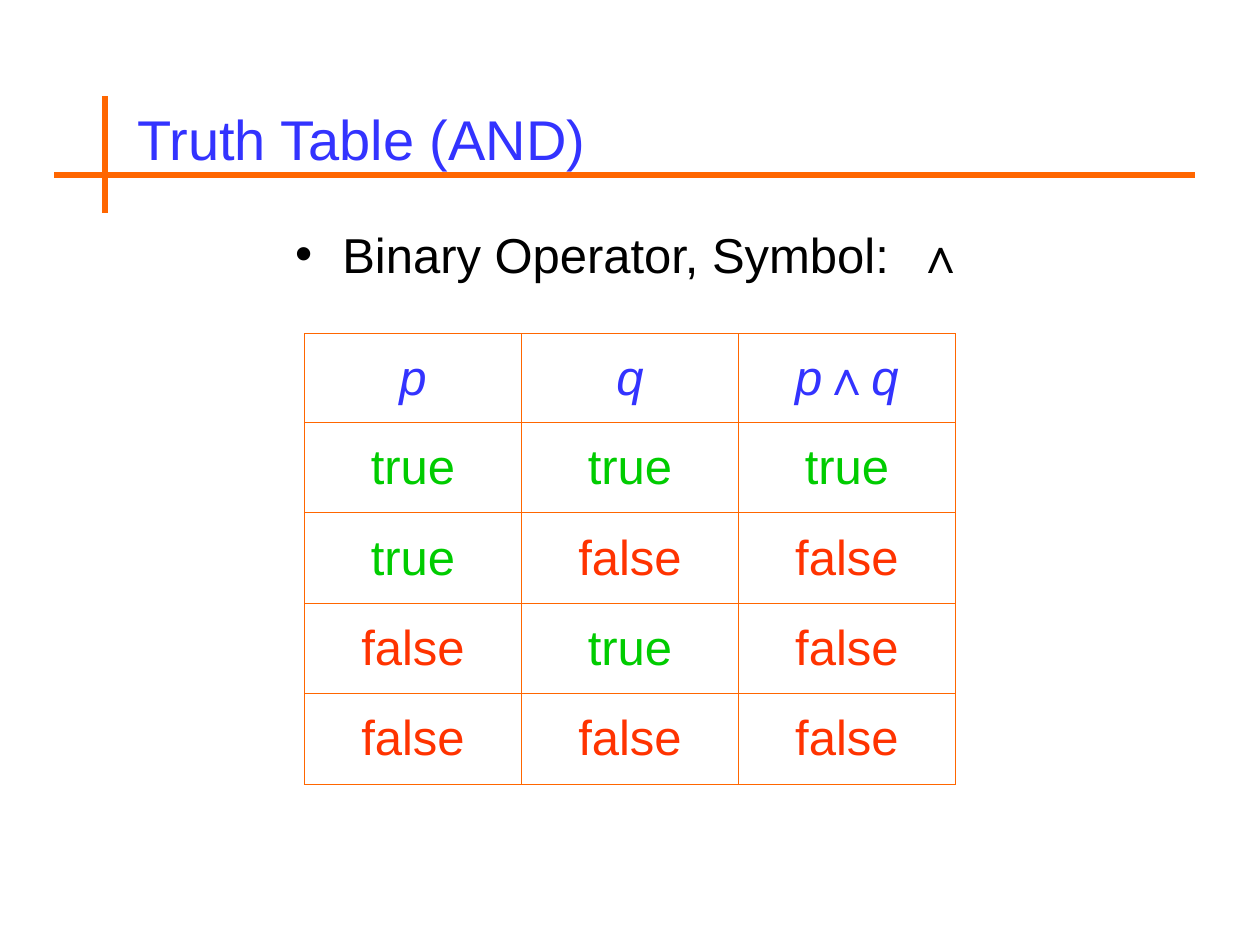
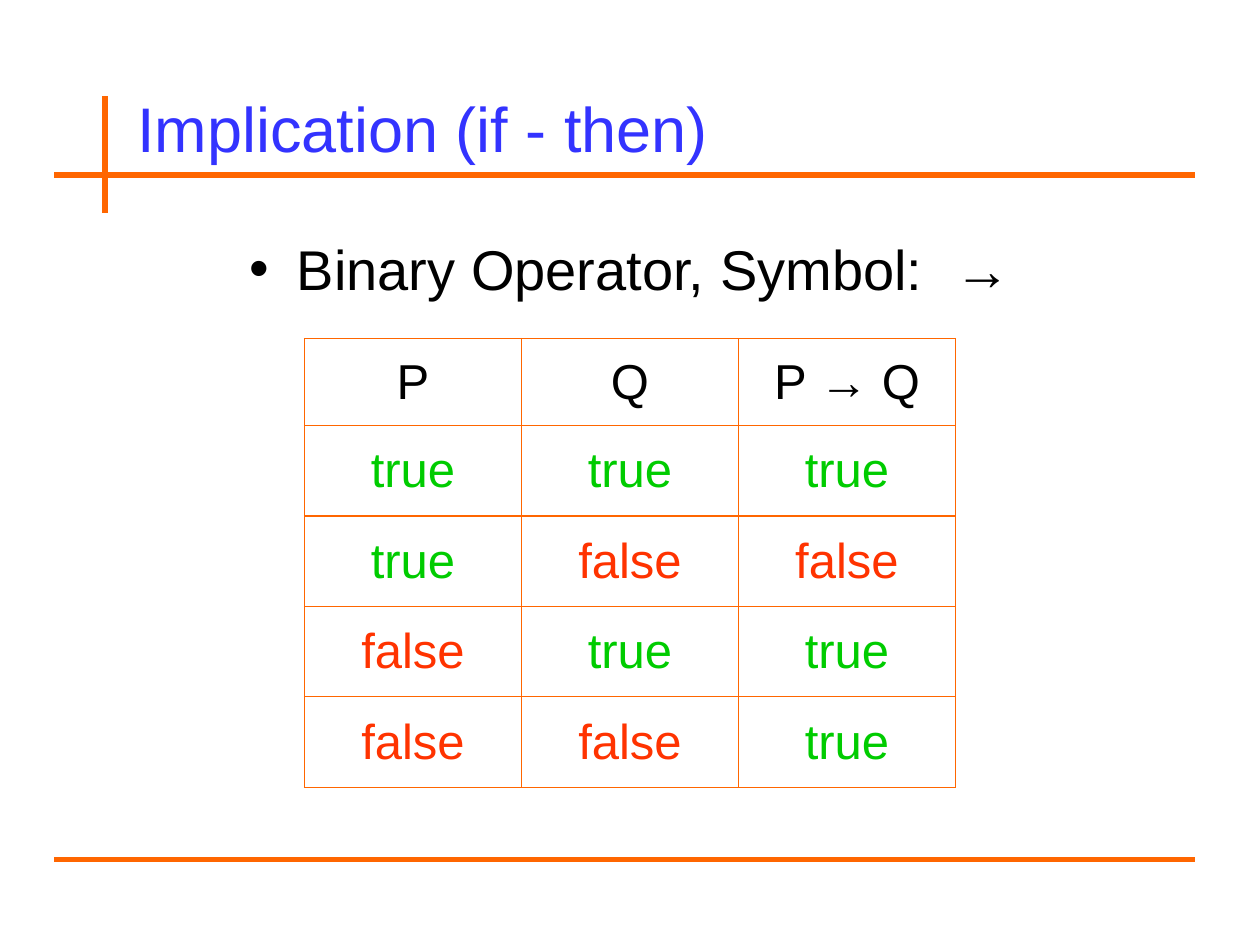
from pptx import Presentation
from pptx.dml.color import RGBColor
from pptx.enum.shapes import MSO_CONNECTOR
from pptx.enum.text import MSO_ANCHOR, PP_ALIGN
from pptx.oxml.ns import qn
from pptx.util import Pt
from lxml.etree import SubElement

# Content: a run is (text, style), with style "", "b" or "i"
T, F = "true", "false"
SLIDES = [
    {
        "title": "Truth Table (AND)", "title_top": 52, "title_size": 32,
        "bullet": [("Binary Operator, Symbol:  ", ""), ("∧", "b")],
        "bullet_top": 124.5, "bullet_size": 28, "bullet_space": 7,
        "header": [[("p", "i")], [("q", "i")],
                   [("p", "i"), ("∧", ""), ("q", "i")]],
        "header_color": "title",
        "values": [(T, T, T), (T, F, F), (F, T, F), (F, F, F)],
        "table_top": 190.6, "header_height": 50.8,
        "extra_rule": (60, 100, 666, 100),
    },
    {
        "title": "Implication (if - then)", "title_top": 46, "title_size": 36,
        "bullet": [("Binary Operator, Symbol:  ", ""), ("→", "b")],
        "bullet_top": 130.5, "bullet_size": 32, "bullet_space": 8,
        "header": [[("P", "")], [("Q", "")],
                   [("P ", ""), ("→ ", "b"), ("Q", "")]],
        "header_color": "text",
        "values": [(T, T, T), (T, F, F), (F, T, T), (F, F, T)],
        "table_top": 193.4, "header_height": 49.8,
        "extra_rule": (31, 491, 683, 491),
    },
]

# Shared style
COLORS = {"title": "3333FF", "text": "000000", "rule": "FF6600",
          T: "00CC00", F: "FF3300"}
FONT = "Arial"
CELL_SIZE, CELL_SPACE = 28, 7
TABLE_LEFT, COL_WIDTH, ROW_HEIGHT = 174, 124, 51.7
CROSS = [(31, 100, 683, 100), (60, 55, 60, 122)]


def rgb(name):
    return RGBColor.from_string(COLORS[name])


def write(p, runs, size, color):
    for text, style in runs:
        r = p.add_run()
        r.text = text
        r.font.name, r.font.size = FONT, Pt(size)
        r.font.color.rgb = rgb(color)
        r.font.bold, r.font.italic = style == "b", style == "i"


def add_text(s, left, top, width, height, anchor):
    tf = s.shapes.add_textbox(Pt(left), Pt(top), Pt(width), Pt(height)).text_frame
    tf.word_wrap = True
    tf.vertical_anchor = anchor
    return tf.paragraphs[0]


def add_bullet(p):
    pPr = p._p.get_or_add_pPr()
    pPr.set("marL", str(Pt(27)))
    pPr.set("indent", str(-Pt(27)))
    SubElement(SubElement(pPr, qn("a:buClr")), qn("a:srgbClr"), val=COLORS["text"])
    SubElement(pPr, qn("a:buFont"), typeface=FONT)
    SubElement(pPr, qn("a:buChar"), char="•")


def add_rule(s, x1, y1, x2, y2):
    line = s.shapes.add_connector(MSO_CONNECTOR.STRAIGHT, Pt(x1), Pt(y1), Pt(x2), Pt(y2))
    line.line.color.rgb = rgb("rule")
    line.line.width = Pt(3)
    SubElement(line._element.spPr, qn("a:effectLst"))


def fill_cell(cell, runs, color):
    cell.vertical_anchor = MSO_ANCHOR.MIDDLE
    p = cell.text_frame.paragraphs[0]
    p.alignment, p.space_before = PP_ALIGN.CENTER, Pt(CELL_SPACE)
    write(p, runs, CELL_SIZE, color)
    # Borders come before the fill in the cell properties
    tcPr = cell._tc.get_or_add_tcPr()
    for side in ("lnL", "lnR", "lnT", "lnB"):
        ln = SubElement(tcPr, qn(f"a:{side}"), w=str(Pt(0.75)))
        SubElement(SubElement(ln, qn("a:solidFill")), qn("a:srgbClr"), val=COLORS["rule"])
    cell.fill.background()


def add_truth_table(s, d):
    rows = [[(runs, d["header_color"]) for runs in d["header"]]]
    rows += [[([(v, "")], v) for v in values] for values in d["values"]]
    heights = [d["header_height"]] + [ROW_HEIGHT] * len(d["values"])
    cols = len(d["header"])
    table = s.shapes.add_table(len(rows), cols, Pt(TABLE_LEFT), Pt(d["table_top"]),
                               Pt(cols * COL_WIDTH), Pt(sum(heights))).table
    table.first_row = table.horz_banding = False
    for col in table.columns:
        col.width = Pt(COL_WIDTH)
    for i, (row, height) in enumerate(zip(rows, heights)):
        table.rows[i].height = Pt(height)
        for j, (runs, color) in enumerate(row):
            fill_cell(table.cell(i, j), runs, color)


def build_slide(prs, d):
    s = prs.slides.add_slide(prs.slide_layouts[6])
    # Title
    p = add_text(s, 71.4, d["title_top"], 612, 54, MSO_ANCHOR.MIDDLE)
    write(p, [(d["title"], "")], d["title_size"], "title")
    # Operator line
    p = add_text(s, 42, d["bullet_top"], 636, 66, MSO_ANCHOR.TOP)
    p.alignment, p.space_before = PP_ALIGN.CENTER, Pt(d["bullet_space"])
    add_bullet(p)
    write(p, d["bullet"], d["bullet_size"], "text")
    # Table and rules
    add_truth_table(s, d)
    for rule in [d["extra_rule"]] + CROSS:
        add_rule(s, *rule)


def main():
    prs = Presentation()
    prs.slide_width, prs.slide_height = Pt(720), Pt(540)
    for d in SLIDES:
        build_slide(prs, d)
    prs.save("out.pptx")


if __name__ == "__main__":
    main()
